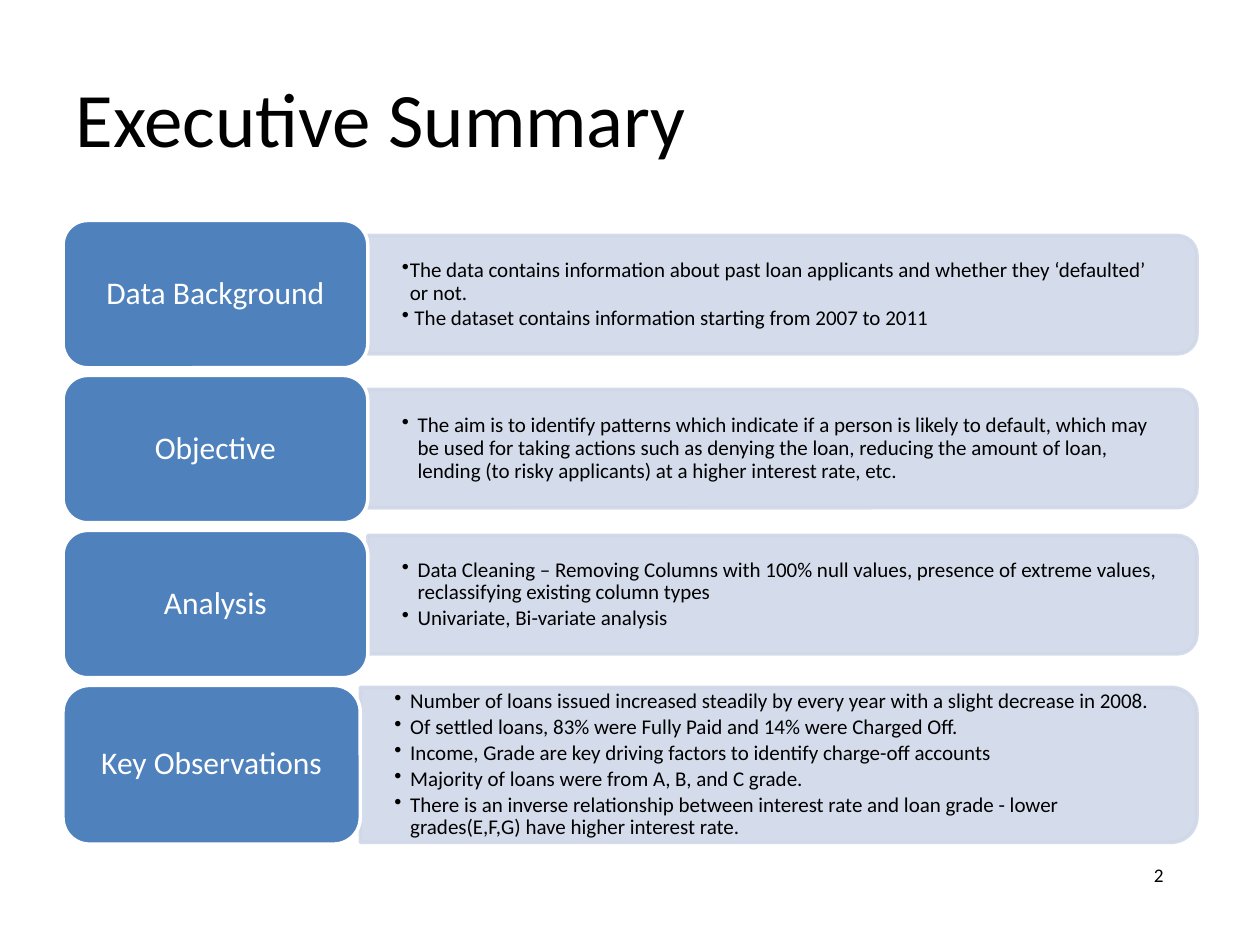
"""Build the executive summary slide: four labelled rows with bulleted panels."""
from dataclasses import dataclass

from pptx import Presentation
from pptx.dml.color import RGBColor
from pptx.enum.shapes import MSO_SHAPE
from pptx.enum.text import MSO_ANCHOR, PP_ALIGN
from pptx.oxml.ns import qn
from pptx.shapes.autoshape import Shape
from pptx.slide import Slide
from pptx.text.text import TextFrame
from pptx.util import Pt

ROUNDED = MSO_SHAPE.ROUNDED_RECTANGLE
ROUNDED_END = MSO_SHAPE.ROUND_2_SAME_RECTANGLE
MIDDLE = MSO_ANCHOR.MIDDLE
LEFT, CENTER = PP_ALIGN.LEFT, PP_ALIGN.CENTER

BLACK = RGBColor(0x00, 0x00, 0x00)
WHITE = RGBColor(0xFF, 0xFF, 0xFF)
BLUE = RGBColor(0x4F, 0x81, 0xBD)
PALE_BLUE = RGBColor(0xD0, 0xD8, 0xE8)

FONT = "Calibri"
ROW_LEFT, ROW_TOP, ROW_PITCH = 36, 126, 88.56


@dataclass
class SummaryRow:
    label: str
    bullets: list[str]
    panel_top: float
    label_width: float = 174.2
    label_height: float = 84.2
    panel_width: float = 473.8
    panel_height: float = 67.7
    text_width: float = 470.9
    text_height: float = 61.2
    indent: float = 9


ROWS = [
    SummaryRow(
        "Data Background",
        [
            "The data contains information about past loan applicants and whether they ‘defaulted’ or not.",
            " The dataset contains information starting from 2007 to 2011",
        ],
        panel_top=134.6,
        indent=4.5,
    ),
    SummaryRow(
        "Objective",
        [
            "The aim is to identify patterns which indicate if a person is likely to default, "
            "which may be used for taking actions such as denying the loan, reducing the amount "
            "of loan, lending (to risky applicants) at a higher interest rate, etc.",
        ],
        panel_top=222.5,
    ),
    SummaryRow(
        "Analysis",
        [
            "Data Cleaning – Removing Columns with 100% null values, presence of extreme values, "
            "reclassifying existing column types",
            "Univariate, Bi-variate analysis",
        ],
        panel_top=306,
    ),
    SummaryRow(
        "Key Observations",
        [
            "Number of loans issued increased steadily by every year with a slight decrease in 2008.",
            "Of settled loans, 83% were Fully Paid and 14% were Charged Off.",
            "Income, Grade are key driving factors to identify charge-off accounts",
            "Majority of loans were from A, B, and C grade.",
            "There is an inverse relationship between interest rate and loan grade - lower "
            "grades(E,F,G) have higher interest rate.",
        ],
        panel_top=392.8,
        label_width=169.9,
        label_height=90.7,
        panel_width=478.1,
        panel_height=88.6,
        text_width=473.8,
        text_height=79.9,
    ),
]


def format_text(frame: TextFrame, size: float, color: RGBColor) -> None:
    """Apply the font, size and colour to every run."""
    for paragraph in frame.paragraphs:
        for span in paragraph.runs:
            span.font.name = FONT
            span.font.size = Pt(size)
            span.font.color.rgb = color


def set_margins(frame: TextFrame, horizontal: float, vertical: float) -> None:
    """Set equal side margins and equal top and bottom margins."""
    frame.margin_left = frame.margin_right = Pt(horizontal)
    frame.margin_top = frame.margin_bottom = Pt(vertical)


def paint(shape: Shape, fill: RGBColor, line: RGBColor) -> None:
    """Give a shape a flat fill and a two-point outline."""
    shape.shadow.inherit = False
    shape.fill.solid()
    shape.fill.fore_color.rgb = fill
    shape.line.color.rgb = line
    shape.line.width = Pt(2)


def draw_panel(page: Slide, row: SummaryRow) -> None:
    """Draw the pale panel, turned so that its rounded end faces right."""
    center_x = ROW_LEFT + row.label_width + row.panel_width / 2
    center_y = row.panel_top + row.panel_height / 2
    panel = page.shapes.add_shape(
        ROUNDED_END,
        Pt(center_x - row.panel_height / 2), Pt(center_y - row.panel_width / 2),
        Pt(row.panel_height), Pt(row.panel_width),
    )
    panel.rotation = 90
    paint(panel, PALE_BLUE, PALE_BLUE)
    for color in panel.element.spPr.iter(qn("a:srgbClr")):
        color.makeelement(qn("a:alpha"), {})
        alpha = color.makeelement(qn("a:alpha"), {"val": "90000"})
        color.append(alpha)


def draw_bullets(page: Slide, row: SummaryRow) -> None:
    """Write the bulleted text over the panel."""
    top = row.panel_top + (row.panel_height - row.text_height) / 2
    box = page.shapes.add_textbox(
        Pt(ROW_LEFT + row.label_width), Pt(top), Pt(row.text_width), Pt(row.text_height)
    )
    frame = box.text_frame
    frame.word_wrap = True
    frame.vertical_anchor = MIDDLE
    set_margins(frame, 19.5, 9.75)
    frame.text = "\n".join(row.bullets)
    for paragraph in frame.paragraphs:
        paragraph.level = 1
        paragraph.line_spacing = 0.9
        paragraph.space_after = Pt(1.8)
        properties = paragraph._p.get_or_add_pPr()
        properties.set("marL", str(Pt(row.indent)))
        properties.set("indent", str(-Pt(row.indent)))
        bullet = properties.makeelement(qn("a:buChar"), {"char": "•"})
        properties.append(bullet)
    format_text(frame, 12, BLACK)


def draw_label(page: Slide, row: SummaryRow, top: float) -> None:
    """Draw the blue label at the left of a row."""
    label = page.shapes.add_shape(
        ROUNDED, Pt(ROW_LEFT), Pt(top), Pt(row.label_width), Pt(row.label_height)
    )
    paint(label, BLUE, WHITE)
    frame = label.text_frame
    frame.word_wrap = True
    frame.vertical_anchor = MIDDLE
    set_margins(frame, 5, 2.7)
    frame.text = row.label
    frame.paragraphs[0].alignment = CENTER
    frame.paragraphs[0].line_spacing = 0.9
    format_text(frame, 18, WHITE)


def main() -> None:
    """Assemble and save the slide."""
    deck = Presentation()
    deck.slide_width, deck.slide_height = Pt(720), Pt(540)
    page = deck.slides.add_slide(deck.slide_layouts[5])

    title = page.shapes.title
    title.left, title.top, title.width, title.height = Pt(36), Pt(21.6), Pt(648), Pt(90)
    title.text_frame.text = "Executive Summary"
    title.text_frame.vertical_anchor = MIDDLE
    title.text_frame.paragraphs[0].alignment = LEFT
    format_text(title.text_frame, 44, BLACK)

    for index, row in enumerate(ROWS):
        draw_panel(page, row)
        draw_bullets(page, row)
        draw_label(page, row, ROW_TOP + index * ROW_PITCH)

    number = page.shapes.add_textbox(Pt(652.3), Pt(489.6), Pt(22.3), Pt(20.9))
    number.text_frame.text = "2"
    format_text(number.text_frame, 11, BLACK)

    deck.save("out.pptx")


if __name__ == "__main__":
    main()
